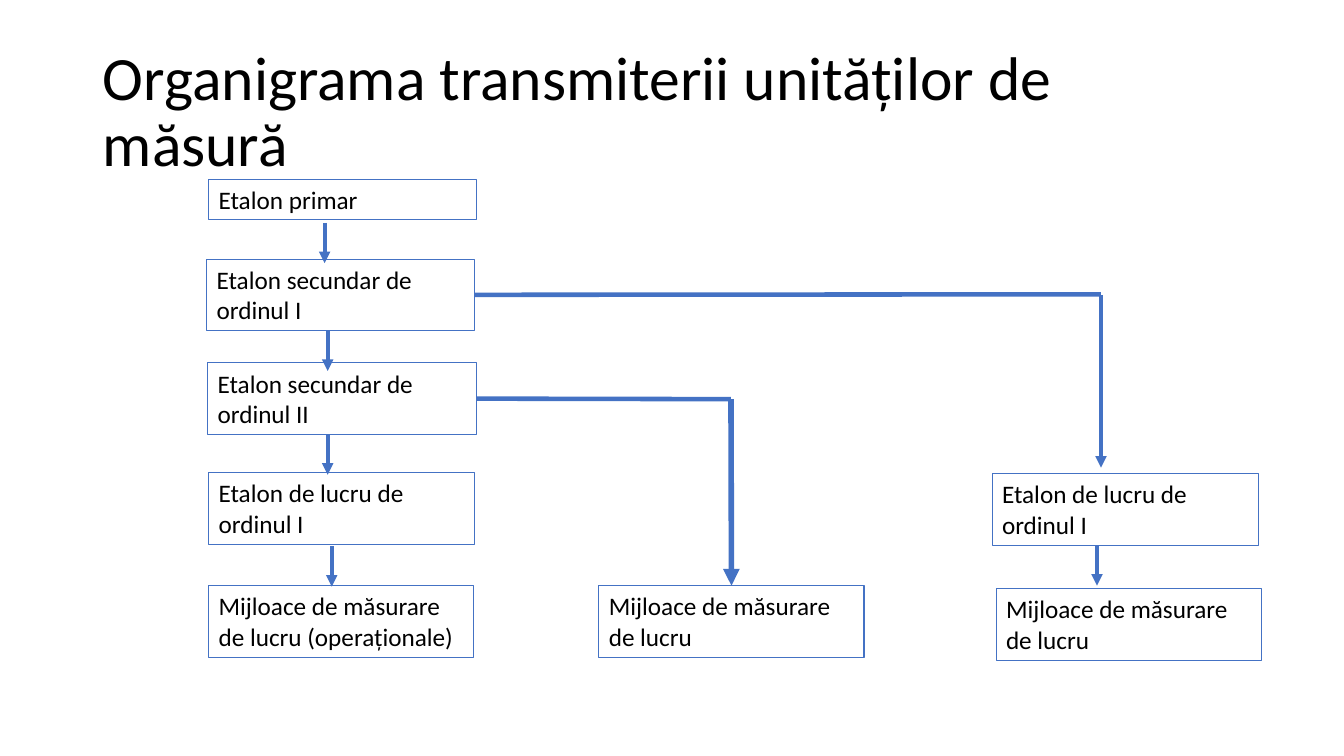
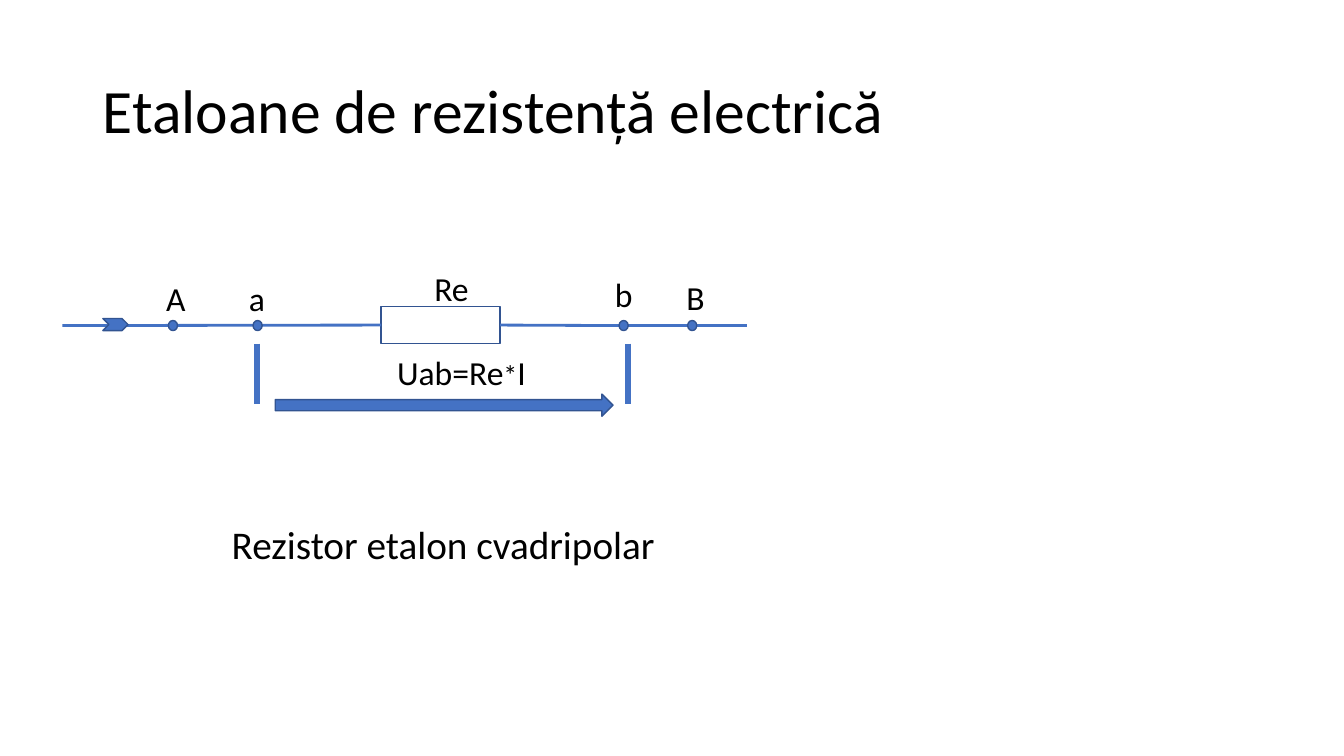
import pptx
import pptx.dml.color
import pptx.enum.shapes
import pptx.enum.text
import pptx.oxml.ns
import pptx.util
from lxml import etree

SHAPE = pptx.enum.shapes.MSO_SHAPE
TOP, LEFT, BOTTOM, RIGHT = range(4)  # connection sites of a rectangle
COLORS = {"text": "000000", "accent": "4472C4", "edge": "325491"}
FONT = "Calibri"
CELL = 0.1  # side of a grid cell in inches


def cells(count):
    return pptx.util.Inches(count * CELL)


def color(name):
    return pptx.dml.color.RGBColor.from_string(COLORS[name])


def write(frame, *parts, size=18, anchor=pptx.enum.text.MSO_ANCHOR.TOP,
          fit=pptx.enum.text.MSO_AUTO_SIZE.SHAPE_TO_FIT_TEXT, spacing=1.0):
    """Write one paragraph; a part is a text or a (text, size) pair."""
    frame.word_wrap = True
    frame.auto_size = fit
    frame.vertical_anchor = anchor
    para = frame.paragraphs[0]
    para.alignment = pptx.enum.text.PP_ALIGN.LEFT
    para.line_spacing = spacing
    for part in parts:
        text, points = (part, size) if isinstance(part, str) else part
        span = para.add_run()
        span.text = text
        span.font.name = FONT
        span.font.size = pptx.util.Pt(points)
        span.font.color.rgb = color("text")


class Slides:
    """Holds the deck, its style and the current page."""

    def __init__(self):
        self.deck = pptx.Presentation()
        self.deck.slide_width = pptx.util.Inches(13.33)
        self.deck.slide_height = pptx.util.Inches(7.5)
        self.page = None

    def new_page(self, title):
        self.page = self.deck.slides.add_slide(self.deck.slide_layouts[5])
        holder = self.page.shapes.title
        holder.left, holder.top = cells(9.2), cells(4)
        holder.width, holder.height = cells(115), cells(14.5)
        write(holder.text_frame, title, size=44, spacing=0.9,
              anchor=pptx.enum.text.MSO_ANCHOR.MIDDLE,
              fit=pptx.enum.text.MSO_AUTO_SIZE.NONE)

    def shape(self, kind, left, top, width, height, fill="accent", edge="edge", weight=1):
        shape = self.page.shapes.add_shape(
            kind, cells(left), cells(top), cells(width), cells(height))
        shape.shadow.inherit = False
        if fill:
            shape.fill.solid()
            shape.fill.fore_color.rgb = color(fill)
        else:
            shape.fill.background()
        shape.line.color.rgb = color(edge)
        shape.line.width = pptx.util.Pt(weight)
        return shape

    def box(self, text, left, top, width, height=7.1):
        box = self.shape(SHAPE.RECTANGLE, left, top, width, height,
                         fill=None, edge="accent", weight=0.75)
        write(box.text_frame, text)
        return box

    def label(self, *parts, left, top, width=5.7, height=5, size=24):
        box = self.page.shapes.add_textbox(
            cells(left), cells(top), cells(width), cells(height))
        write(box.text_frame, *parts, size=size)

    def line(self, start, end, weight, arrow=False, begin=None, finish=None):
        """Draw a line; begin and finish are (box, site) pairs to join."""
        line = self.page.shapes.add_connector(
            pptx.enum.shapes.MSO_CONNECTOR.STRAIGHT, *map(cells, start + end))
        if begin:
            line.begin_connect(*begin)
        if finish:
            line.end_connect(*finish)
        line.line.color.rgb = color("accent")
        line.line.width = pptx.util.Pt(weight)
        name = pptx.oxml.ns.qn
        if arrow:
            stroke = line.line.color and line._element.spPr.find(name("a:ln"))
            etree.SubElement(stroke, name("a:tailEnd"), type="triangle")
        etree.SubElement(line._element.spPr, name("a:effectLst"))

    def arrow_down(self, column, top, length=4):
        self.line((column, top), (column, top + length), 2.75, arrow=True)


def draw_hierarchy(slides):
    slides.new_page("Organigrama transmiterii unităților de măsură")

    # Main column of standards
    slides.box("Etalon primar", 20.7, 17.8, 26.6, 4)
    first = slides.box("Etalon secundar de ordinul I", 20.5, 25.7, 26.6)
    second = slides.box("Etalon secundar de ordinul II", 20.6, 36, 26.7)
    slides.box("Etalon de lucru de ordinul I", 20.7, 46.9, 26.4)
    slides.box("Mijloace de măsurare de lucru (operaționale)", 20.7, 58.1, 26.3)

    # Side branches
    middle = slides.box("Mijloace de măsurare de lucru", 59.4, 58.1, 26.3)
    slides.box("Mijloace de măsurare de lucru", 98.8, 58.4, 26.3)
    slides.box("Etalon de lucru de ordinul I", 98.4, 47, 26.4)

    # Lines from the secondary standards to the branches
    slides.line((47.1, 29.2), (109.2, 29.2), 3.25, begin=(first, RIGHT))
    slides.line((47.2, 39.6), (72.5, 39.6), 3.25, begin=(second, RIGHT))
    slides.line((109.2, 29.3), (109.2, 46.4), 2.75, arrow=True)
    slides.line((72.5, 39.6), (72.5, 58.1), 4, arrow=True, finish=(middle, TOP))

    # Short arrows between levels
    for column, top in ((108.8, 54.1), (32.9, 54.2), (32.5, 43.1),
                        (32.5, 32.8), (32.2, 22.1)):
        slides.arrow_down(column, top)


def draw_resistor(slides):
    slides.new_page("Etaloane de rezistență electrică")
    axis = 32.3

    # Resistor and wires
    resistor = slides.shape(SHAPE.RECTANGLE, 37.8, 30.4, 11.8, 3.7, fill=None)
    slides.line((6.2, axis), (37.8, axis), 2, finish=(resistor, LEFT))
    slides.line((49.6, axis), (61.5, axis), 2, begin=(resistor, RIGHT))
    slides.line((62.2, axis), (74.1, axis), 2)

    # Terminals with their letters
    for letter, dot, left, top in (("A", 16.7, 15.5, 27.1), ("a", 25.1, 23.7, 27.1),
                                   ("b", 61.4, 60, 26.7), ("B", 68.2, 67.1, 27)):
        slides.shape(SHAPE.FLOWCHART_CONNECTOR, dot, axis - 0.5, 0.9, 1)
        slides.label(letter, left=left, top=top)
    slides.label("Re", left=42.1, top=26.1)
    slides.shape(SHAPE.CHEVRON, 10.2, 31.6, 2.5, 1.2)

    # Voltage between the inner terminals
    slides.shape(SHAPE.RIGHT_ARROW, 27.3, 39.1, 33.5, 2.2)
    for column in (25.5, 62.3):
        slides.line((column, 34.1), (column, 40.1), 4.25)
    slides.label("Uab=Re", ("*", 20), "I", left=38.4, top=34.4, width=17.3)

    # Caption
    slides.label("Rezistor etalon cvadripolar", left=22, top=51.1,
                 width=46.5, height=5.7, size=28)


def main():
    slides = Slides()
    draw_hierarchy(slides)
    draw_resistor(slides)
    slides.deck.save("out.pptx")


if __name__ == "__main__":
    main()
